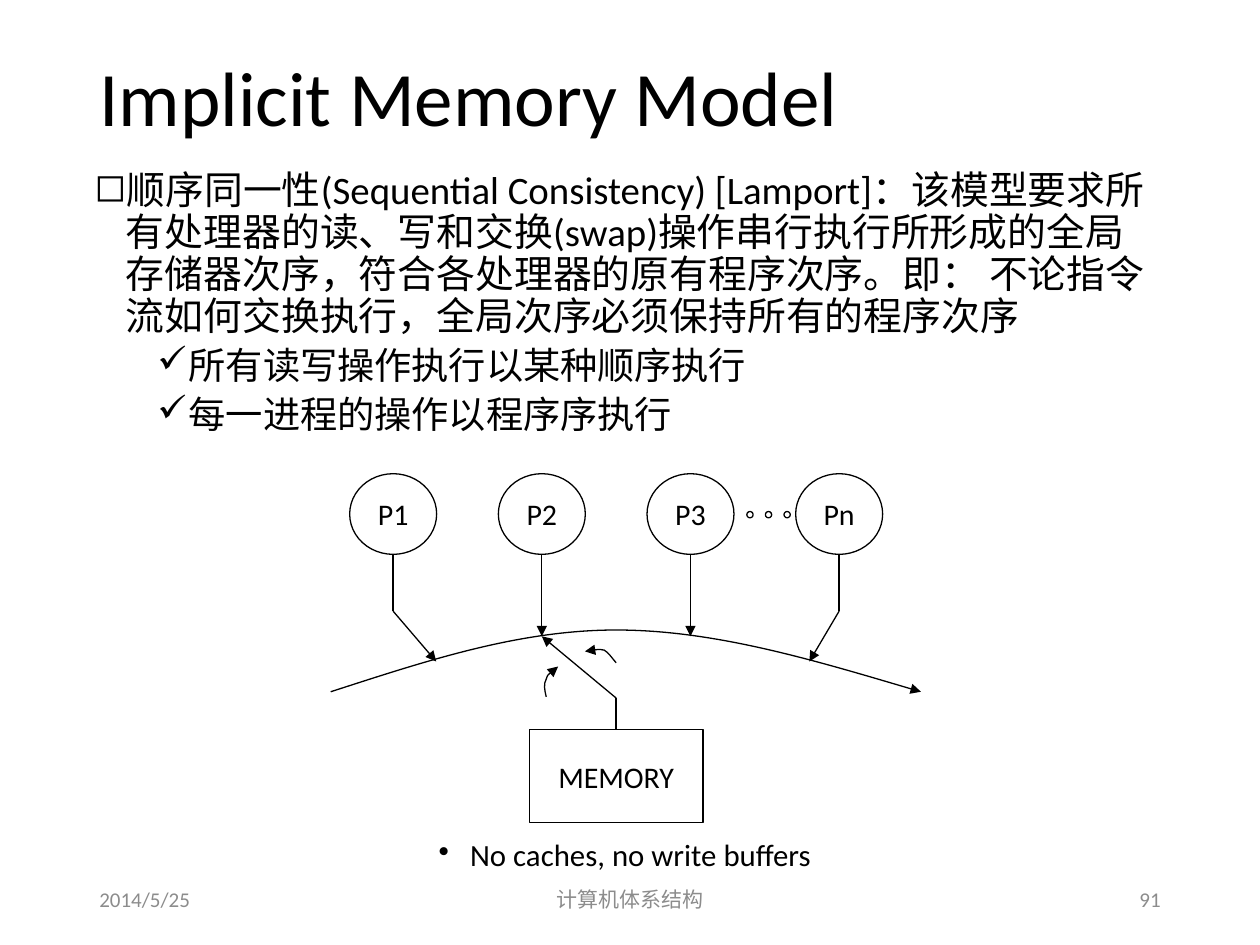
from lxml.etree import SubElement
from pptx import Presentation
from pptx.dml.color import RGBColor
from pptx.enum.shapes import MSO_CONNECTOR, MSO_SHAPE
from pptx.enum.text import MSO_ANCHOR, PP_ALIGN
from pptx.oxml.ns import qn
from pptx.util import Inches, Pt

BLACK, GREY = "000000", "8C8C8C"
FONT = "Calibri"
ARC = [(-0.42, 34.8), (0.21, 30), (0.84, 25), (1.5, 25),
       (2.16, 25), (2.86, 30), (3.55, 34.8)]
LEFT_TURN = [(1.5, 30.2), (1.47, 29.4), (1.45, 28.6), (1.42, 28.2),
             (1.38, 28), (1.34, 28.2), (1.29, 28.4)]
RIGHT_TURN = [(1.03, 35.6), (1.02, 34.6), (1.01, 33.6), (1.03, 32.8),
              (1.04, 32), (1.08, 31.4), (1.11, 30.8)]


def color(value):
    return RGBColor.from_string(value)


def col(n):
    return Inches(3.12 + 1.18 * n)


def row(n):
    return Inches(3.75 + 0.05 * n)


def grid(point):
    return col(point[0]), row(point[1])


def add_run(p, text, size, hue=BLACK):
    r = p.add_run()
    r.text = text
    r.font.name = FONT
    r.font.size = Pt(size)
    r.font.color.rgb = color(hue)


def add_bullet(p, char, left):
    pPr = p._p.get_or_add_pPr()
    pPr.set("marL", str(Inches(left)))
    pPr.set("indent", str(Inches(-0.25)))
    SubElement(pPr, qn("a:buChar")).set("char", char)


def add_box(s, x, y, w, h, anchor=MSO_ANCHOR.MIDDLE):
    tf = s.shapes.add_textbox(Inches(x), Inches(y), Inches(w), Inches(h)).text_frame
    tf.word_wrap = True
    tf.vertical_anchor = anchor
    return tf


def add_line_text(s, x, y, w, h, text, size, align=PP_ALIGN.LEFT, hue=BLACK):
    p = add_box(s, x, y, w, h).paragraphs[0]
    p.alignment = align
    p.line_spacing = 0.9
    add_run(p, text, size, hue)
    return p


def add_body(s, items):
    tf = add_box(s, 0.65, 1.31, 8.62, 2.3, MSO_ANCHOR.TOP)
    for i, (text, size, char, level) in enumerate(items):
        p = tf.add_paragraph() if i else tf.paragraphs[0]
        p.level = level
        p.line_spacing = 0.9
        p.space_before = Pt(5 if i else 0)
        add_bullet(p, char, 0.25 + 0.5 * level)
        add_run(p, text, size)


def set_line(sp, arrow=False):
    sp.line.color.rgb = color(BLACK)
    sp.line.width = Pt(0.75)
    if arrow:
        ln = sp._element.spPr.find(qn("a:ln"))
        SubElement(ln, qn("a:tailEnd")).set("type", "triangle")


def add_node(s, kind, center, w, h, text=""):
    x, y = grid(center)
    w, h = Inches(w), Inches(h)
    sp = s.shapes.add_shape(kind, x - w // 2, y - h // 2, w, h)
    sp.shadow.inherit = False
    sp.fill.background()
    set_line(sp)
    if text:
        tf = sp.text_frame
        tf.word_wrap = False
        tf.margin_left = tf.margin_right = tf.margin_top = tf.margin_bottom = 0
        tf.vertical_anchor = MSO_ANCHOR.MIDDLE
        p = tf.paragraphs[0]
        p.alignment = PP_ALIGN.CENTER
        add_run(p, text, 17.1)
    return sp


def add_link(s, start, end, arrow=False):
    c = s.shapes.add_connector(MSO_CONNECTOR.STRAIGHT, *grid(start), *grid(end))
    set_line(c, arrow)
    SubElement(c._element.spPr, qn("a:effectLst"))
    return c


def add_curve(s, points):
    start, *rest = [grid(point) for point in points]
    builder = s.shapes.build_freeform(*start)
    builder.add_line_segments(rest, close=False)
    sp = builder.convert_to_shape()
    outline = next(sp._element.iter(qn("a:path")))
    segments = outline.findall(qn("a:lnTo"))
    for i in range(0, len(segments), 3):
        curve = SubElement(outline, qn("a:cubicBezTo"))
        for segment in segments[i:i + 3]:
            curve.append(segment[0])
            outline.remove(segment)
    sp.shadow.inherit = False
    sp.fill.background()
    set_line(sp, arrow=True)


def add_diagram(s):
    memory = add_node(s, MSO_SHAPE.RECTANGLE, (1.5, 48.2), 1.38, 0.74, "MEMORY")
    for i, name in enumerate(["P1", "P2", "P3", "Pn"]):
        add_node(s, MSO_SHAPE.FLOWCHART_CONNECTOR, (i, 6.6), 0.69, 0.64, name)
    for x in (2.4, 2.525, 2.65):
        add_node(s, MSO_SHAPE.OVAL, (x, 6.7), 0.05, 0.05)
    for curve in (ARC, LEFT_TURN, RIGHT_TURN):
        add_curve(s, curve)
    for i, tip in ((0, 0.29), (3, 2.8)):
        add_link(s, (i, 13), (i, 22))
        add_link(s, (i, 22), (tip, 30), arrow=True)
    for i in (1, 2):
        add_link(s, (i, 13), (i, 26), arrow=True)
    add_link(s, (1.5, 35.8), (1, 26), arrow=True)
    add_link(s, (1.5, 35.8), (1.5, 40.8)).end_connect(memory, 0)


def main():
    prs = Presentation()
    prs.slide_width, prs.slide_height = Inches(10), Inches(7.5)
    s = prs.slides.add_slide(prs.slide_layouts[6])
    add_line_text(s, 0.69, 0.4, 8.62, 0.81, "Implicit Memory Model", 44)
    add_body(s, [
        ("顺序同一性(Sequential Consistency) [Lamport]：该模型要求所有处理器的读、写和交换(swap)"
         "操作串行执行所形成的全局存储器次序，符合各处理器的原有程序次序。即： "
         "不论指令流如何交换执行，全局次序必须保持所有的程序次序", 22.2, "◻", 0),
        ("所有读写操作执行以某种顺序执行", 21.3, "✓", 1),
        ("每一进程的操作以程序序执行", 21.3, "✓", 1),
    ])
    add_diagram(s)
    p = add_line_text(s, 0.65, 6.6, 8.62, 0.4, "No caches, no write buffers",
                      17.6, PP_ALIGN.CENTER)
    add_bullet(p, "•", 0.25)
    for x, w, text, align in ((0.69, 2.25, "2014/5/25", PP_ALIGN.LEFT),
                              (3.31, 3.38, "计算机体系结构", PP_ALIGN.CENTER),
                              (7.06, 2.25, "91", PP_ALIGN.RIGHT)):
        add_line_text(s, x, 6.95, w, 0.4, text, 12, align, GREY)
    prs.save("out.pptx")


if __name__ == "__main__":
    main()
